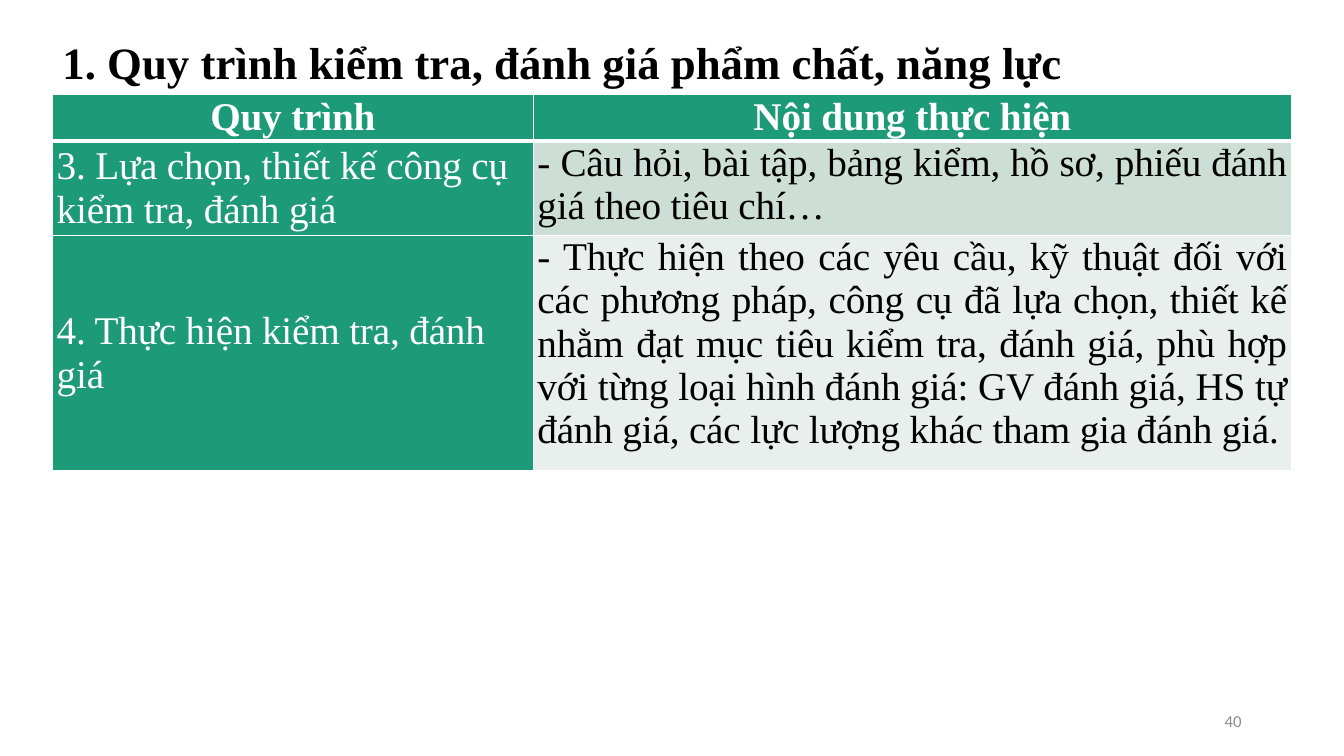
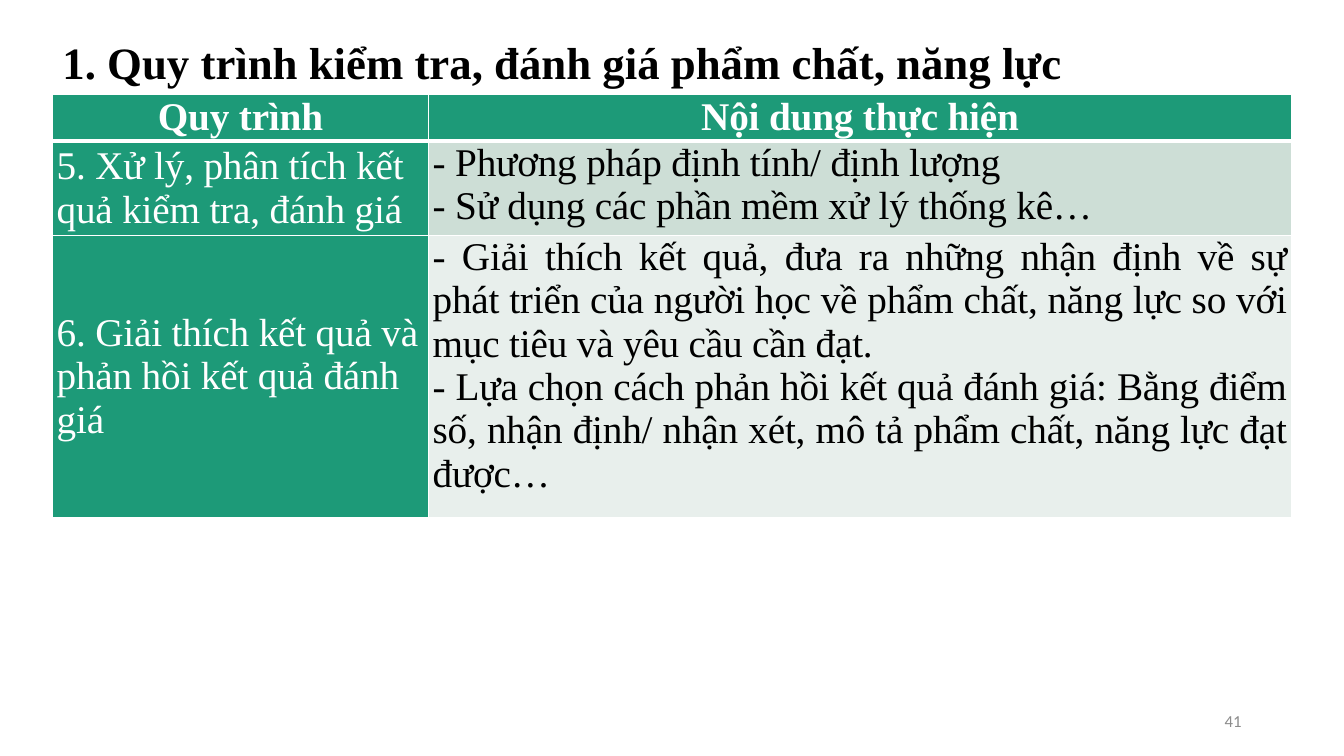
from lxml import etree
from pptx import Presentation
from pptx.dml.color import RGBColor
from pptx.enum.text import MSO_ANCHOR as ANCHOR, PP_ALIGN as ALIGN
from pptx.oxml.ns import qn
from pptx.util import Pt

COLORS = {
    "green": "1D9A78",
    "band_dark": "CDDED6",
    "band_light": "E8EFEC",
    "white": "FFFFFF",
    "black": "000000",
    "gray": "8C8C8C",
}
SERIF = "Times New Roman"
TITLE = "1. Quy trình kiểm tra, đánh giá phẩm chất, năng lực"
HEADERS = ["Quy trình", "Nội dung thực hiện"]
FIRST_NUMBER = 40

# Each row: step, list of actions, number of text lines the row holds
SLIDES = [
    {
        "step_width": 343.4,
        "rows": [
            ("3. Lựa chọn, thiết kế công cụ kiểm tra, đánh giá",
             ["- Câu hỏi, bài tập, bảng kiểm, hồ sơ, phiếu đánh giá theo tiêu chí…"], 2),
            ("4. Thực hiện kiểm tra, đánh giá",
             ["- Thực hiện theo các yêu cầu, kỹ thuật đối với các phương pháp, công cụ "
              "đã lựa chọn, thiết kế nhằm đạt mục tiêu kiểm tra, đánh giá, phù hợp với "
              "từng loại hình đánh giá: GV đánh giá, HS tự đánh giá, các lực lượng khác "
              "tham gia đánh giá."], 5),
        ],
    },
    {
        "step_width": 268.6,
        "rows": [
            ("5. Xử lý, phân tích kết quả kiểm tra, đánh giá",
             ["- Phương pháp định tính/ định lượng",
              "- Sử dụng các phần mềm xử lý thống kê…"], 2),
            ("6. Giải thích kết quả và phản hồi kết quả đánh giá",
             ["- Giải thích kết quả, đưa ra những nhận định về sự phát triển của người "
              "học về phẩm chất, năng lực so với mục tiêu và yêu cầu cần đạt.",
              "- Lựa chọn cách phản hồi kết quả đánh giá: Bằng điểm số, nhận định/ nhận "
              "xét, mô tả phẩm chất, năng lực đạt được…"], 6),
        ],
    },
]

LEFT, TABLE_TOP, TABLE_WIDTH = 37.5, 67.2, 885
LINE_HEIGHT = 31


def write(tf, lines, size=28, font=SERIF, color="black", bold=False,
          align=ALIGN.LEFT, line_spacing=None, tracking=None):
    """Fill a text frame with one paragraph per line."""
    tf.word_wrap = True
    for i, line in enumerate(lines):
        p = tf.paragraphs[0] if i == 0 else tf.add_paragraph()
        p.alignment = align
        if line_spacing:
            p.line_spacing = line_spacing
        r = p.add_run()
        r.text = line
        r.font.size, r.font.name, r.font.bold = Pt(size), font, bold
        r.font.color.rgb = RGBColor.from_string(COLORS[color])
        if tracking:
            r.font._element.set("spc", str(int(tracking * 100)))


def add_text(slide, box, text, **fmt):
    tf = slide.shapes.add_textbox(*map(Pt, box)).text_frame
    tf.vertical_anchor = ANCHOR.MIDDLE
    write(tf, [text], **fmt)


def set_borders(cell, top, bottom):
    tcPr = cell._tc.get_or_add_tcPr()
    widths = {"lnL": 1, "lnR": 1, "lnT": top, "lnB": bottom}
    for i, (side, width) in enumerate(widths.items()):
        ln = etree.Element(qn(f"a:{side}"), w=str(Pt(width)))
        fill = etree.SubElement(ln, qn("a:solidFill"))
        etree.SubElement(fill, qn("a:srgbClr"), val=COLORS["white"])
        tcPr.insert(i, ln)


def fill_cell(cell, lines, fill, anchor=ANCHOR.MIDDLE, top=1, bottom=1, **fmt):
    cell.margin_left = cell.margin_right = Pt(3)
    cell.margin_top = cell.margin_bottom = 0
    cell.vertical_anchor = anchor
    cell.fill.solid()
    cell.fill.fore_color.rgb = RGBColor.from_string(COLORS[fill])
    set_borders(cell, top, bottom)
    write(cell.text_frame, lines, tracking=-0.1, **fmt)


def add_process_table(slide, rows, step_width):
    line_counts = [1] + [count for _, _, count in rows]
    table = slide.shapes.add_table(
        len(line_counts), len(HEADERS), Pt(LEFT), Pt(TABLE_TOP),
        Pt(TABLE_WIDTH), Pt(LINE_HEIGHT * sum(line_counts))).table
    for column, width in zip(table.columns, (step_width, TABLE_WIDTH - step_width)):
        column.width = Pt(width)
    for row, count in zip(table.rows, line_counts):
        row.height = Pt(LINE_HEIGHT * count)

    for c, header in enumerate(HEADERS):
        fill_cell(table.cell(0, c), [header], "green", bottom=3,
                  color="white", bold=True, align=ALIGN.CENTER)
    for i, (step, actions, _) in enumerate(rows, 1):
        top = 3 if i == 1 else 1
        band = "band_dark" if i % 2 else "band_light"
        fill_cell(table.cell(i, 0), [step], "green", top=top, color="white")
        fill_cell(table.cell(i, 1), actions, band, anchor=ANCHOR.TOP, top=top,
                  align=ALIGN.JUSTIFY)


def main():
    prs = Presentation()
    prs.slide_width, prs.slide_height = Pt(960), Pt(540)
    for number, content in enumerate(SLIDES, FIRST_NUMBER):
        s = prs.slides.add_slide(prs.slide_layouts[6])
        add_text(s, (678, 500.5, 216, 28.75), str(number), size=12,
                 font="Calibri", color="gray", align=ALIGN.RIGHT)
        add_process_table(s, **content)
        add_text(s, (LEFT, 25, 876, 42.5), TITLE, size=32, bold=True,
                 line_spacing=0.9)
    prs.save("out.pptx")


if __name__ == "__main__":
    main()
